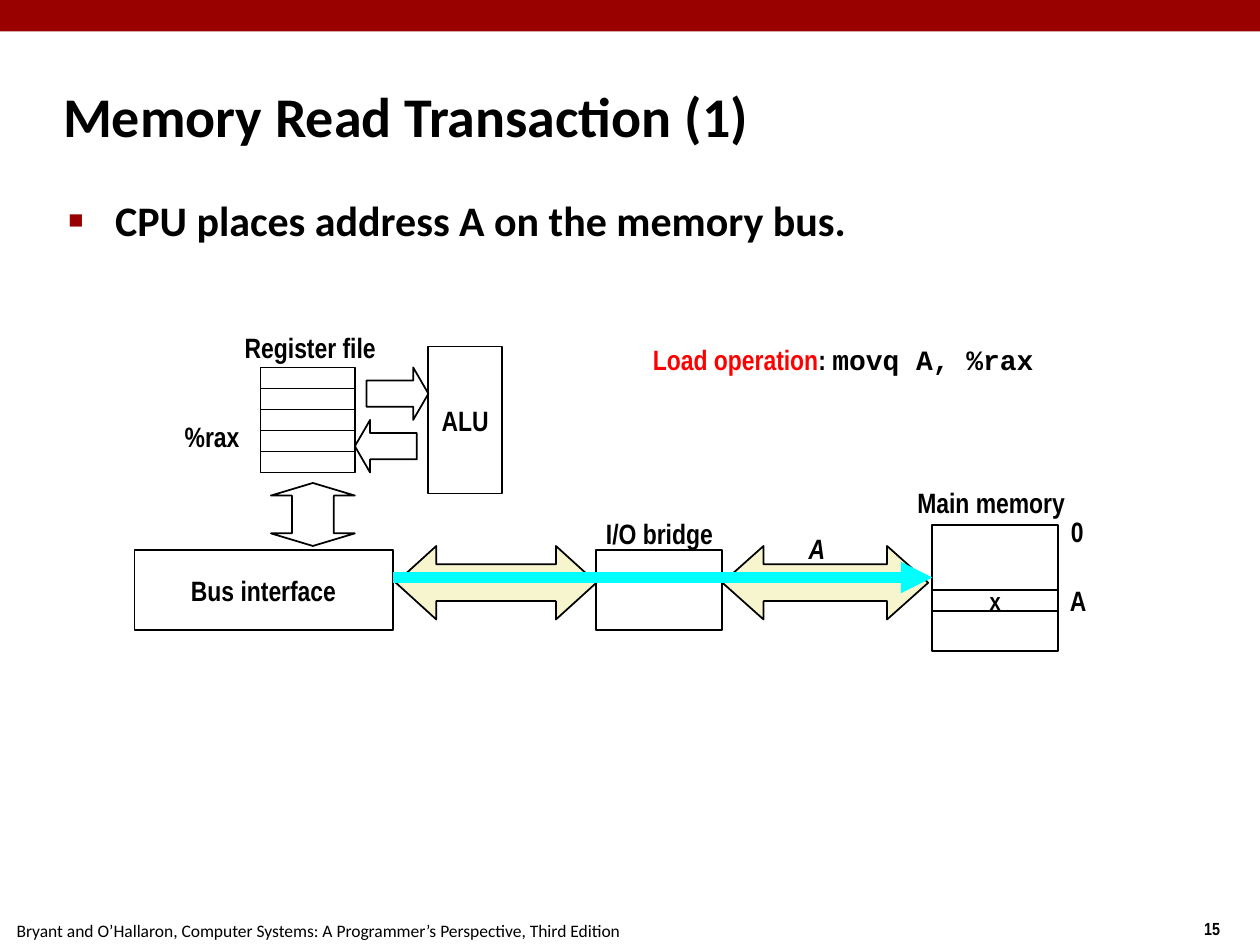
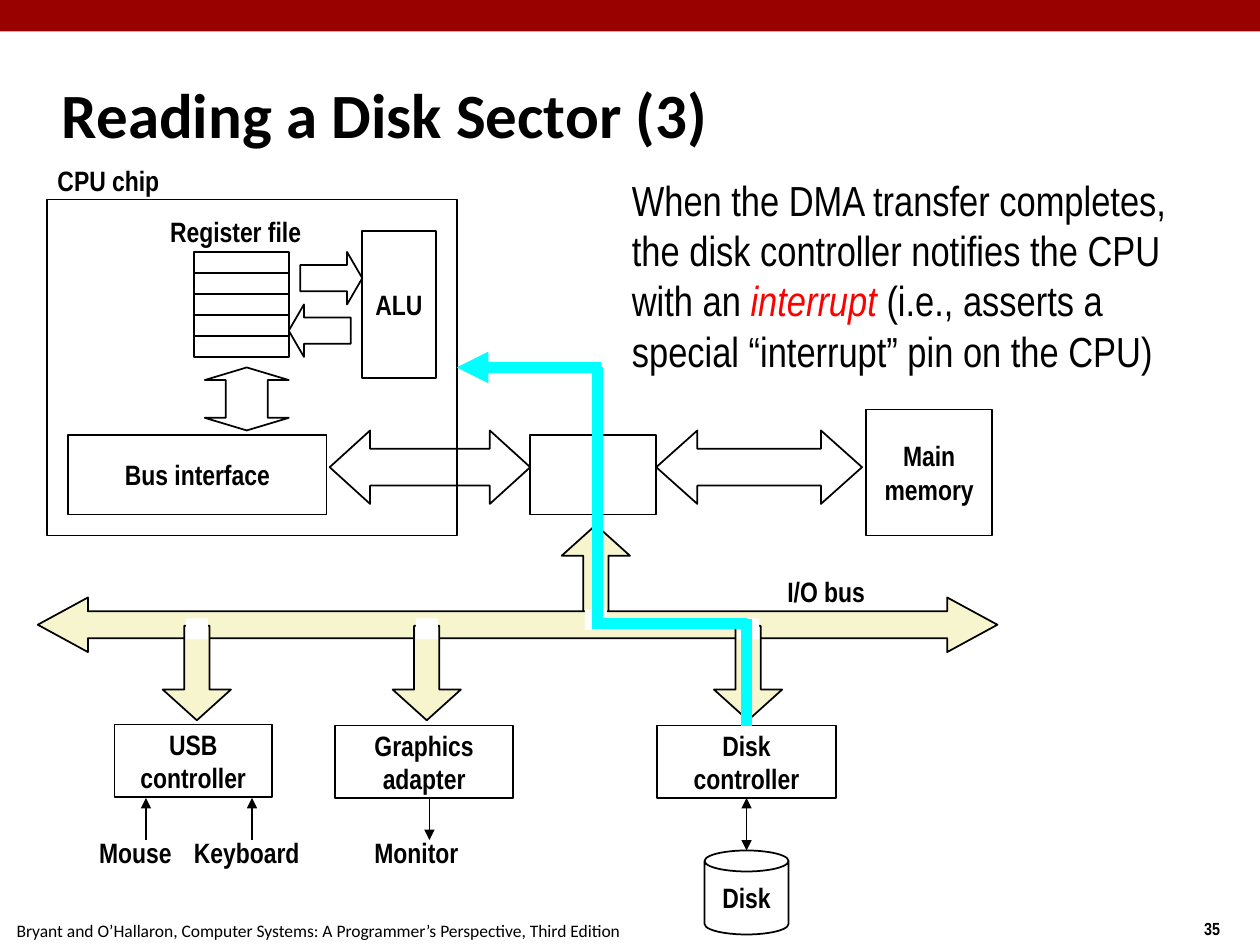
"""Build two slides on memory reads and disk sector reads."""
from lxml import etree
from pptx import Presentation
from pptx import util as u
from pptx.dml.color import RGBColor
from pptx.enum import shapes, text
from pptx.oxml import ns

COLORS = {"black": "000000", "white": "FFFFFF", "band": "990000",
          "bus": "F7F5CD", "signal": "00FFFF", "accent": "FF0000"}
NARROW, SANS, CODE = "Arial Narrow", "Calibri", "Courier New"
KIND, ALIGN = shapes.MSO_SHAPE, text.PP_ALIGN
LEFT, CENTER = ALIGN.LEFT, ALIGN.CENTER
FOOTER = ("Bryant and O’Hallaron, Computer Systems: "
          "A Programmer’s Perspective, Third Edition")

presentation = Presentation()
presentation.slide_width, presentation.slide_height = u.Inches(10), u.Inches(7.5)
COLUMN = presentation.slide_width / 120
ROW = presentation.slide_height / 90
LABEL_ROWS = 4.4


def write_runs(paragraph, runs, size=16, font=NARROW, bold=True):
    """Add (words, overrides) runs to a paragraph."""
    for words, style in runs:
        run = paragraph.add_run()
        run.text = words
        run.font.size = u.Pt(size)
        run.font.name = style.get("font", font)
        run.font.bold = bold
        run.font.italic = style.get("italic", False)
        run.font.color.rgb = RGBColor.from_string(COLORS[style.get("color", "black")])


def add_box(slide, kind, cell, paragraphs=(), fill=None, outline=True, adjust=(),
            align=CENTER, anchor=text.MSO_ANCHOR.MIDDLE, wrap=False, **style):
    """Add a shape, or a text box when kind is None, at a grid cell."""
    column, row, columns, rows = cell
    place = [round(n) for n in (column * COLUMN, row * ROW, columns * COLUMN, rows * ROW)]
    if kind is None:
        shape = slide.shapes.add_textbox(*place)
        shape.text_frame.auto_size = text.MSO_AUTO_SIZE.NONE
    else:
        shape = slide.shapes.add_shape(kind, *place)
        shape.shadow.inherit = False
        for index, value in enumerate(adjust):
            shape.adjustments[index] = value
        if len(adjust) == 2:
            for index, guide in enumerate(shape._element.xpath(".//a:gd"), 1):
                guide.set("name", f"adj{index}")
        if fill:
            shape.fill.solid()
            shape.fill.fore_color.rgb = RGBColor.from_string(COLORS[fill])
        else:
            shape.fill.background()
        if outline:
            shape.line.color.rgb = RGBColor.from_string(COLORS["black"])
            shape.line.width = u.Pt(1)
        else:
            shape.line.fill.background()
    frame = shape.text_frame
    frame.word_wrap = wrap
    frame.vertical_anchor = anchor
    for index, runs in enumerate(paragraphs):
        paragraph = frame.add_paragraph() if index else frame.paragraphs[0]
        paragraph.alignment = align
        write_runs(paragraph, [(runs, {})] if isinstance(runs, str) else runs, **style)
    return shape


pages = [
    dict(title="Memory Read Transaction (1)", size=32, number="15", layout=1,
         title_at=(4.8, 6), origin=(12.8, 31), label_column=9.2, bus="bus", memory=()),
    dict(title="Reading a Disk Sector (3)", size=36, number="35", layout=5,
         title_at=(4.7, 5.8), origin=(6.5, 20), label_column=8.4, bus=None,
         memory=("Main", "memory")),
]
for page in pages:
    slide = presentation.slides.add_slide(presentation.slide_layouts[page["layout"]])
    add_box(slide, KIND.RECTANGLE, (0, 0, 120, 3), fill="band", outline=False)
    add_box(slide, None, (113.5, 86.8, 9, 3.2), [page["number"]], align=LEFT, size=10)
    add_box(slide, None, (0.4, 87, 60, 3.2), [FOOTER], align=LEFT,
            size=10, font=SANS, bold=False)

    title = slide.shapes.title
    title.left, title.top = round(page["title_at"][0] * COLUMN), round(page["title_at"][1] * ROW)
    title.width, title.height = round(99.6 * COLUMN), round(10 * ROW)
    title.text_frame.auto_size = text.MSO_AUTO_SIZE.NONE
    title.text_frame.vertical_anchor = text.MSO_ANCHOR.MIDDLE
    title.text_frame.paragraphs[0].alignment = LEFT
    write_runs(title.text_frame.paragraphs[0], [(page["title"], {})], page["size"], SANS)

    x, y = page["origin"]
    for register in range(5):
        add_box(slide, KIND.RECTANGLE, (x + 12, y + 4 + 2 * register, 9, 2))
    machine = [
        (KIND.RIGHT_ARROW, (22.1, 4, 5.9, 5), (), None, (0.5, 0.29)),
        (KIND.LEFT_ARROW, (21, 9, 5.9, 5), (), None, (0.5, 0.29)),
        (KIND.RECTANGLE, (28, 2, 7, 14), ["ALU"], None, ()),
        (None, (page["label_column"], -0.15, 15.1, LABEL_ROWS), ["Register file"], None, ()),
        (KIND.UP_DOWN_ARROW, (13, 15, 8, 6), (), None, (0.5, 0.2)),
        (KIND.RECTANGLE, (0, 21.4, 24.6, 7.6), ["Bus interface"], None, ()),
        (KIND.RECTANGLE, (76, 19, 12, 12), page["memory"], None, ()),
        (KIND.LEFT_RIGHT_ARROW, (56, 21, 19.6, 7), (), page["bus"], (0.5, 0.56)),
        (KIND.RECTANGLE, (44, 21.4, 12, 7.6), (), None, ()),
        (KIND.LEFT_RIGHT_ARROW, (24.9, 21, 19.1, 7), (), page["bus"], (0.5, 0.55)),
    ]
    for kind, (column, row, columns, rows), words, fill, adjust in machine:
        add_box(slide, kind, (x + column, y + row, columns, rows), words,
                fill=fill, adjust=adjust)

memory_slide, disk_slide = presentation.slides

body = memory_slide.placeholders[1]
body.left, body.top = round(5.2 * COLUMN), round(17.9 * ROW)
body.width, body.height = round(103.7 * COLUMN), round(65.3 * ROW)
body.text_frame.auto_size = text.MSO_AUTO_SIZE.NONE
paragraph = body.text_frame.paragraphs[0]
properties = paragraph._p.get_or_add_pPr()
properties.set("marL", str(u.Inches(0.38)))
properties.set("indent", str(u.Inches(-0.37)))
bullet_color = etree.SubElement(properties, ns.qn("a:buClr"))
etree.SubElement(bullet_color, ns.qn("a:srgbClr"), val=COLORS["band"])
etree.SubElement(properties, ns.qn("a:buSzPct"), val="60000")
etree.SubElement(properties, ns.qn("a:buChar"), char="■")
paragraph.space_before = u.Pt(0)
write_runs(paragraph, [("CPU places address A on the memory bus.", {})], 24, SANS)

add_box(memory_slide, KIND.RECTANGLE, (88.8, 56.2, 12, 2), ["x"], size=14)
memory_labels = [
    ([("A", {"italic": True})], 75.8, 50, 4, CENTER),
    ("0", 100.8, 48.4, 3.8, LEFT),
    ("A", 100.7, 55, 4.2, LEFT),
    ("Main memory", 85.9, 45.6, 17, CENTER),
    ("I/O bridge", 56.3, 48.6, 13, CENTER),
    ("%rax", 16.2, 39.4, 8, CENTER),
]
disk_labels = [
    ("CPU chip", 4.3, 15, 12.5, LEFT),
    ("I/O bus", 73.8, 54.1, 10.2, LEFT),
    ("Mouse", 8, 79, 9.8, CENTER),
    ("Keyboard", 17, 79, 13, CENTER),
    ("Monitor", 34.2, 79, 10.9, CENTER),
]
load = [("Load operation", {"color": "accent"}), (": ", {}),
        ("movq A, %rax", {"font": CODE})]
add_box(memory_slide, None, (61, 32, 39.2, 7.6), [load], align=LEFT,
        anchor=text.MSO_ANCHOR.TOP)

chip = add_box(disk_slide, KIND.RECTANGLE, (4.5, 19, 39, 32))
add_box(disk_slide, KIND.UP_ARROW, (53.5, 50, 6.5, 9), fill="bus", adjust=(0.37, 0.45))
add_box(disk_slide, KIND.LEFT_RIGHT_ARROW, (3.6, 56.9, 91.4, 5.2),
        fill="bus", adjust=(0.49, 0.92))
add_box(disk_slide, KIND.RECTANGLE, (55.7, 58, 2.1, 2), fill="white", outline=False)
devices = [(("USB", "controller"), 10.9, 69, 15, 15.5),
           (("Graphics", "adapter"), 31.9, 69.1, 17, 37.4),
           (("Disk", "controller"), 62.6, 69.1, 17, 68)]
for words, column, row, columns, arrow_column in devices:
    add_box(disk_slide, KIND.DOWN_ARROW, (arrow_column, 59.6, 6.5, 9),
            fill="bus", adjust=(0.37, 0.45))
    add_box(disk_slide, KIND.RECTANGLE, (arrow_column + 2.2, 58.9, 2.1, 2),
            fill="white", outline=False)
    controller = add_box(disk_slide, KIND.RECTANGLE, (column, row, columns, 6.9), words)
add_box(disk_slide, KIND.CAN, (67.1, 81, 8, 8), ["Disk"], adjust=(0.25,))

for slide, labels in ((memory_slide, memory_labels), (disk_slide, disk_labels)):
    for words, column, row, columns, align in labels:
        add_box(slide, None, (column, row, columns, LABEL_ROWS), [words], align=align)

interrupt = [
    ("When the DMA transfer completes, the disk controller notifies the CPU with an ", {}),
    ("interrupt", {"color": "accent", "italic": True}),
    (" (i.e., asserts a special “interrupt” pin on the CPU)", {})]
add_box(disk_slide, None, (59, 16, 57, 20.4), [interrupt], align=LEFT, wrap=True,
        anchor=text.MSO_ANCHOR.TOP, size=24, bold=False)

lines = [
    (memory_slide, (37.4, 55), (88.8, 55), "signal", 6, ["tailEnd"], None, None),
    (disk_slide, (13.9, 76), (13.9, 80), "black", 1, ["headEnd"], None, None),
    (disk_slide, (24, 76), (24, 80), "black", 1, ["headEnd"], None, None),
    (disk_slide, (40.9, 76), (40.9, 80), "black", 1, ["tailEnd"], None, None),
    (disk_slide, (71.1, 76), (71.1, 81), "black", 1, ["headEnd", "tailEnd"],
     (controller, 2), None),
    (disk_slide, (57.2, 35), (43.5, 35), "signal", 6, ["tailEnd"], None, (chip, 3)),
    (disk_slide, (56.9, 35), (56.9, 59), "signal", 6, [], None, None),
    (disk_slide, (56.4, 59.4), (71.1, 59.4), "signal", 6, [], None, None),
    (disk_slide, (71.1, 59), (71.1, 69.1), "signal", 6, [], None, (controller, 0)),
]
for slide, start, end, color, width, heads, begin_join, end_join in lines:
    line = slide.shapes.add_connector(
        shapes.MSO_CONNECTOR.STRAIGHT, round(start[0] * COLUMN), round(start[1] * ROW),
        round(end[0] * COLUMN), round(end[1] * ROW))
    line.line.color.rgb = RGBColor.from_string(COLORS[color])
    line.line.width = u.Pt(width)
    for head in heads:
        etree.SubElement(line.line._get_or_add_ln(), ns.qn("a:" + head), type="triangle")
    etree.SubElement(line._element.spPr, ns.qn("a:effectLst"))
    if begin_join:
        line.begin_connect(*begin_join)
    if end_join:
        line.end_connect(*end_join)

presentation.save("out.pptx")
